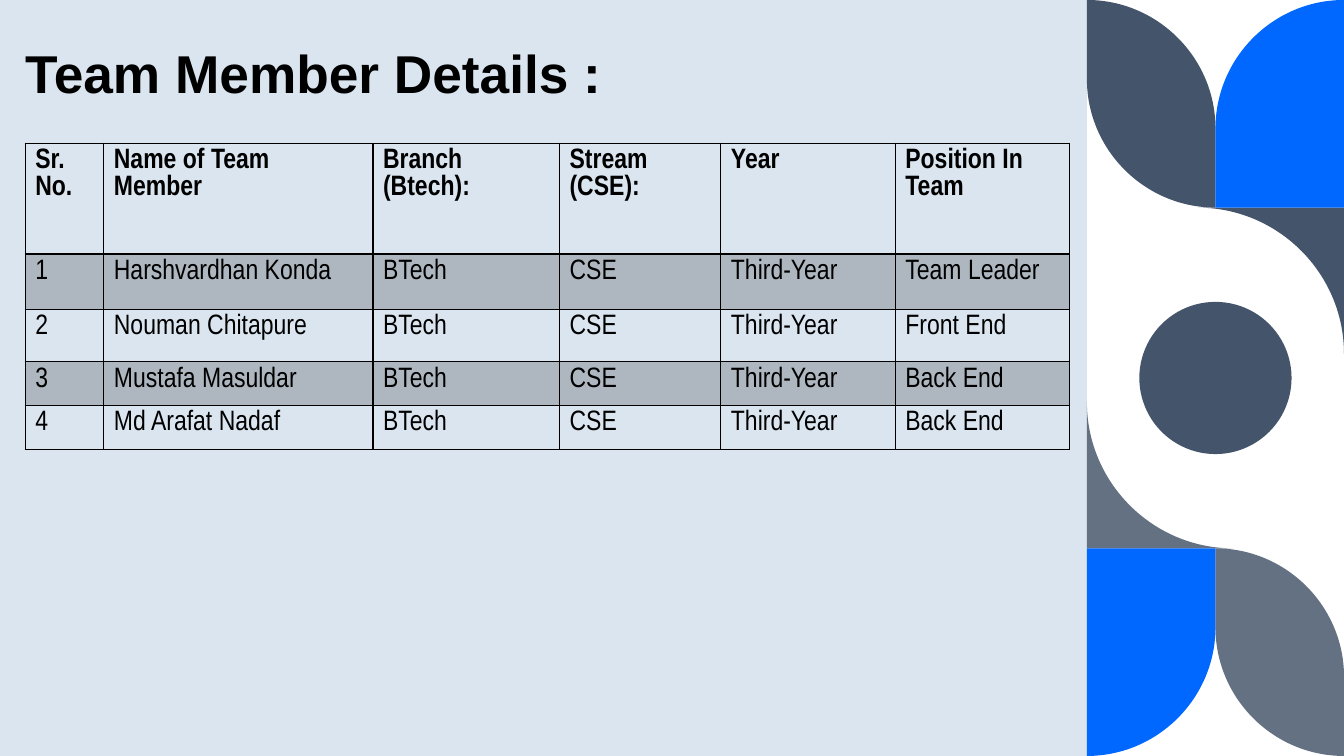
"""Build the team member details slide."""
from lxml import etree
from pptx import Presentation
from pptx.dml.color import RGBColor
from pptx.enum.shapes import MSO_SHAPE
from pptx.enum.text import MSO_ANCHOR, MSO_AUTO_SIZE, PP_ALIGN
from pptx.oxml.ns import qn
from pptx.util import Inches, Pt

RECTANGLE, OVAL = MSO_SHAPE.RECTANGLE, MSO_SHAPE.OVAL
BOTTOM, LEFT_ALIGN = MSO_ANCHOR.BOTTOM, PP_ALIGN.LEFT
NO_AUTOFIT = MSO_AUTO_SIZE.NONE
TITLE_ONLY = 5

WIDTH, HEIGHT = 13.33, 7.5
BAND_LEFT = 10.78
BAND_MIDDLE = (BAND_LEFT + WIDTH) / 2
LEAF_RADIUS = BAND_MIDDLE - BAND_LEFT
LEAF_HEIGHT = 2.06
CORNER_RADIUS = 1.45
DOT_SIZE = 1.51
MARGIN = 0.25
ROUNDNESS = 0.55

PALE, SLATE, GREY, BLUE, BLACK = "DAE5EF", "44546A", "637183", "0068FF", "000000"

COLUMN_WIDTHS = [0.78, 2.67, 1.85, 1.6, 1.73, 1.73]
ROW_HEIGHTS = [1.1, 0.55, 0.52, 0.43, 0.44]
HEADINGS = ["Sr. No.", "Name of Team Member", "Branch (Btech):",
            "Stream (CSE):", "Year", "Position In Team"]
MEMBERS = [("Harshvardhan Konda", "Team Leader"), ("Nouman Chitapure", "Front End"),
           ("Mustafa Masuldar", "Back End"), ("Md Arafat Nadaf", "Back End")]


def color(hex_code):
    return RGBColor.from_string(hex_code)


def toward(start, corner):
    return tuple(s + ROUNDNESS * (c - s) for s, c in zip(start, corner))


def quarter(start, corner, end):
    return [toward(start, corner), toward(end, corner), end]


def half_turn(segments):
    return [[(BAND_LEFT + WIDTH - x, HEIGHT - y) for x, y in segment]
            for segment in segments]


class SlideBuilder:
    def __init__(self, slide):
        self.slide = slide
        self.title_font, self.table_font = "Arial", "Arial Narrow"
        self.title_size, self.table_size = Pt(38), Pt(20)

    def paint(self, shape, fill):
        shape.shadow.inherit = False
        shape.fill.solid()
        shape.fill.fore_color.rgb = color(fill)
        shape.line.fill.background()

    def shape(self, preset, left, top, width, height, fill):
        box = map(Inches, (left, top, width, height))
        self.paint(self.slide.shapes.add_shape(preset, *box), fill)

    def outline(self, segments, fill):
        corners = [(Inches(x), Inches(y)) for segment in segments for x, y in segment]
        builder = self.slide.shapes.build_freeform(*corners[0])
        builder.add_line_segments(corners[1:], close=True)
        outline = builder.convert_to_shape()
        steps = iter(list(outline.element.iter(qn("a:lnTo"))))
        for segment in segments[1:]:
            first, *others = [next(steps) for _ in segment]
            if others:
                curve = etree.Element(qn("a:cubicBezTo"))
                first.addprevious(curve)
                for step in (first, *others):
                    curve.append(step[0])
                    step.getparent().remove(step)
        self.paint(outline, fill)

    def style(self, paragraph, font_name, size, bold, spacing):
        paragraph.alignment = LEFT_ALIGN
        paragraph.line_spacing = spacing
        for run in paragraph.runs:
            run.font.name, run.font.size, run.font.bold = font_name, size, bold
            run.font.color.rgb = color(BLACK)

    def title(self, wording, left, top, width, height):
        heading = self.slide.shapes.title
        heading.left, heading.top = Inches(left), Inches(top)
        heading.width, heading.height = Inches(width), Inches(height)
        frame = heading.text_frame
        frame.text = wording
        frame.word_wrap, frame.auto_size = True, NO_AUTOFIT
        frame.vertical_anchor = BOTTOM
        frame.margin_left = frame.margin_right = frame.margin_top = frame.margin_bottom = 0
        self.style(frame.paragraphs[0], self.title_font, self.title_size, True, 0.9)
        heading.element.getparent().append(heading.element)

    def border(self, cell, side, points):
        properties = cell._tc.get_or_add_tcPr()
        line = etree.SubElement(properties, qn(f"a:ln{side}"), w=str(Pt(points)))
        solid = etree.SubElement(line, qn("a:solidFill"))
        etree.SubElement(solid, qn("a:srgbClr"), val=BLACK)

    def shade(self, cell, percent):
        cell.fill.solid()
        cell.fill.fore_color.rgb = color(BLACK)
        tint = cell._tc.tcPr.find(f"{qn('a:solidFill')}/{qn('a:srgbClr')}")
        etree.SubElement(tint, qn("a:alpha"), val=str(percent * 1000))

    def table(self, rows, left, top):
        size = Inches(sum(COLUMN_WIDTHS)), Inches(sum(ROW_HEIGHTS))
        table = self.slide.shapes.add_table(
            len(rows), len(COLUMN_WIDTHS), Inches(left), Inches(top), *size).table
        table.horz_banding = table.first_row = False
        for column, width in zip(table.columns, COLUMN_WIDTHS):
            column.width = Inches(width)
        for row, height in zip(table.rows, ROW_HEIGHTS):
            row.height = Inches(height)
        for r, entries in enumerate(rows):
            for c, entry in enumerate(entries):
                cell = table.cell(r, c)
                cell.text_frame.text = entry
                self.style(cell.text_frame.paragraphs[0], self.table_font,
                           self.table_size, r == 0, 1.0)
                for side in "LRTB":
                    under_header = (r, side) in ((0, "B"), (1, "T"))
                    self.border(cell, side, 2.25 if under_header else 1)
                if r % 2:
                    self.shade(cell, 20)
                else:
                    cell.fill.background()


def main():
    deck = Presentation()
    deck.slide_width, deck.slide_height = Inches(WIDTH), Inches(HEIGHT)
    builder = SlideBuilder(deck.slides.add_slide(deck.slide_layouts[TITLE_ONLY]))

    builder.shape(RECTANGLE, 0, 0, BAND_LEFT, HEIGHT, PALE)

    shoulder = LEAF_HEIGHT - LEAF_RADIUS
    top_left, top_middle, top_right = [(x, 0) for x in (BAND_LEFT, BAND_MIDDLE, WIDTH)]
    leaf_tip, petal_base = (BAND_MIDDLE, LEAF_HEIGHT), (WIDTH, LEAF_HEIGHT)
    leaf_side, leaf_waist = (BAND_LEFT, shoulder), (BAND_MIDDLE, LEAF_RADIUS)
    corner_start = (WIDTH - CORNER_RADIUS, LEAF_HEIGHT)
    corner_end = (WIDTH, LEAF_HEIGHT + CORNER_RADIUS)
    leaf = [[top_left], [leaf_side],
            quarter(leaf_side, (BAND_LEFT, LEAF_HEIGHT), leaf_tip),
            [leaf_waist], quarter(leaf_waist, top_middle, top_left)]
    corner = [[petal_base], [corner_start],
              quarter(corner_start, petal_base, corner_end)]
    petal = [[top_right], [petal_base], [leaf_tip], [leaf_waist],
             quarter(leaf_waist, top_middle, top_right)]
    for segments, upper, lower in ((leaf, SLATE, GREY), (corner, SLATE, GREY),
                                   (petal, BLUE, BLUE)):
        builder.outline(segments, upper)
        builder.outline(half_turn(segments), lower)
    builder.shape(OVAL, BAND_MIDDLE - DOT_SIZE / 2, (HEIGHT - DOT_SIZE) / 2,
                  DOT_SIZE, DOT_SIZE, SLATE)

    members = [[str(number), name, "BTech", "CSE", "Third-Year", position]
               for number, (name, position) in enumerate(MEMBERS, 1)]
    builder.table([HEADINGS] + members, MARGIN, 1.42)
    builder.title("Team Member Details :", MARGIN, 0.41, 7.74, 0.63)
    deck.save("out.pptx")


main()
